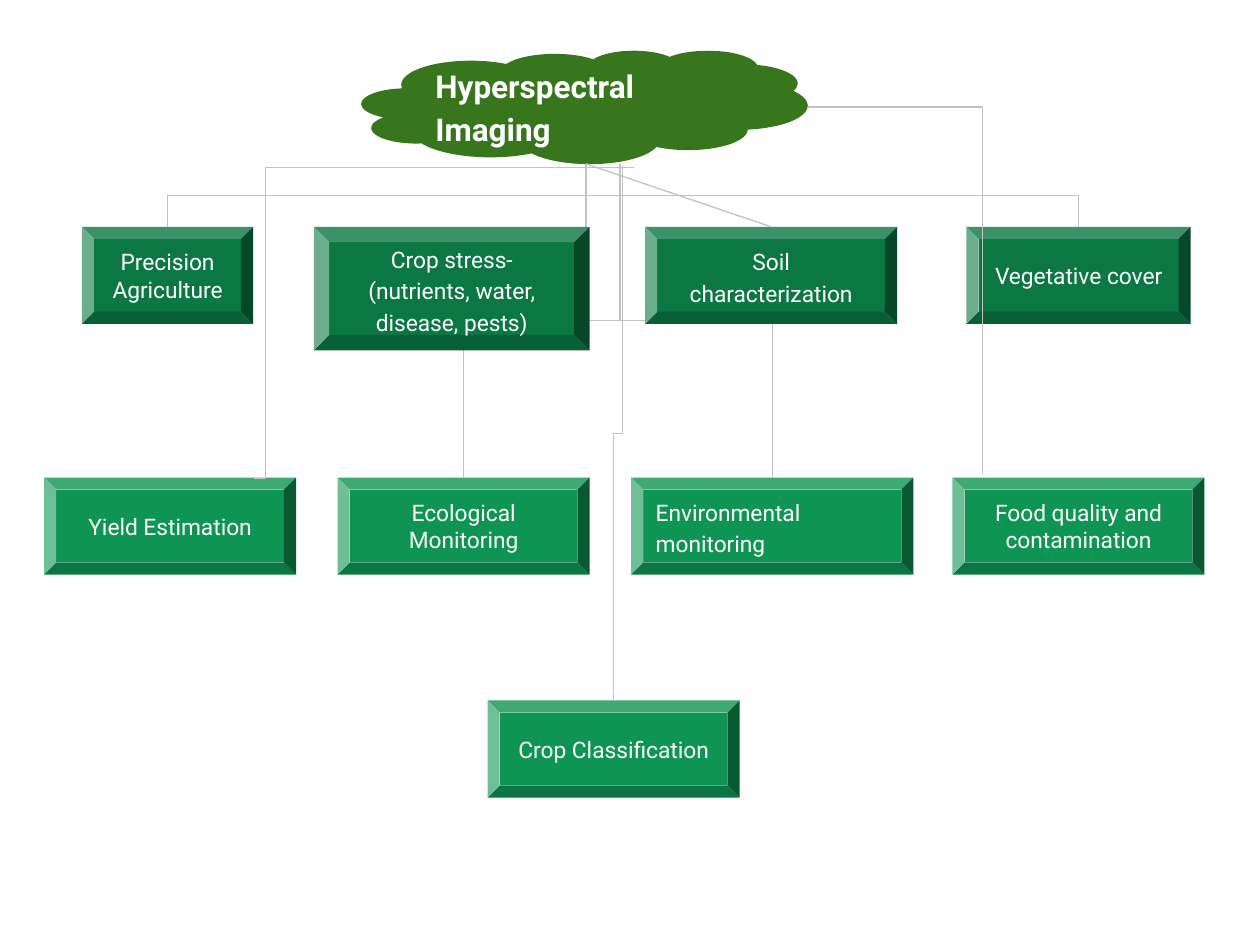
from dataclasses import dataclass

from lxml import etree
from pptx import Presentation
from pptx.dml.color import RGBColor
from pptx.enum.shapes import MSO_CONNECTOR as Connector, MSO_SHAPE as Shape
from pptx.enum.text import MSO_ANCHOR as Anchor, PP_ALIGN as Align
from pptx.oxml.ns import qn
from pptx.util import Inches, Pt


@dataclass(frozen=True)
class Theme:
    font: str = "Roboto"
    text: str = "FFFFFF"
    hub: str = "38761D"
    upper: str = "0B7743"
    lower: str = "0E9453"
    line: str = "C2C2C2"
    hub_size: int = 18
    box_size: int = 13
    line_width: float = 0.75


THEME = Theme()
UPPER_TOP, LOWER_TOP, BOTTOM_TOP = 1.8, 3.79, 5.56
BOX_WIDTH, BOX_HEIGHT = 2, 0.77
HUB_BOX = (2.87, 0.4, 3.54, 0.9)
HUB_CENTER, HUB_BOTTOM = 4.65, 1.3


def write_text(shape, text, size, bold=False, align=Align.CENTER, spacing=None):
    frame = shape.text_frame
    frame.word_wrap = True
    frame.vertical_anchor = Anchor.MIDDLE
    frame.margin_left = frame.margin_right = Inches(0.1)
    frame.margin_top = frame.margin_bottom = Inches(0.1)
    paragraph = frame.paragraphs[0]
    paragraph.alignment = align
    paragraph.line_spacing = spacing
    run = paragraph.add_run()
    run.text = text
    run.font.name = THEME.font
    run.font.size = Pt(size)
    run.font.bold = bold
    run.font.color.rgb = RGBColor.from_string(THEME.text)


def add_node(slide, kind, box, fill, text, size, **text_format):
    shape = slide.shapes.add_shape(kind, *map(Inches, box))
    shape.shadow.inherit = False
    shape.fill.solid()
    shape.fill.fore_color.rgb = RGBColor.from_string(fill)
    shape.line.fill.background()
    write_text(shape, text, size, **text_format)
    return shape


def add_topic(slide, text, left, top, width=BOX_WIDTH, height=BOX_HEIGHT, **text_format):
    fill = THEME.upper if top == UPPER_TOP else THEME.lower
    box = (left, top, width, height)
    shape = add_node(slide, Shape.BEVEL, box, fill, text, THEME.box_size, **text_format)
    shape.adjustments[0] = 0.125


def add_link(slide, start, end, kind=Connector.ELBOW):
    link = slide.shapes.add_connector(kind, *map(Inches, (*start, *end)))
    link.line.color.rgb = RGBColor.from_string(THEME.line)
    link.line.width = Pt(THEME.line_width)
    etree.SubElement(link._element.spPr, qn("a:effectLst"))
    return link


def add_drop_link(slide, start, end):
    """Elbow that leaves downwards: a sideways elbow turned by a quarter."""
    (x1, y1), (x2, y2) = start, end
    center_x, center_y = (x1 + x2) / 2, (y1 + y2) / 2
    side = 1 if x2 > x1 else -1
    half_run, half_rise = side * (y2 - y1) / 2, abs(x2 - x1) / 2
    link = add_link(slide, (center_x + half_run, center_y - half_rise),
                    (center_x - half_run, center_y + half_rise))
    degrees = 270 if side > 0 else 90
    link._element.spPr.find(qn("a:xfrm")).set("rot", str(degrees * 60000))


def shape_elbow(link, preset, bend=None):
    geometry = link._element.spPr.find(qn("a:prstGeom"))
    geometry.set("prst", preset)
    if bend is not None:
        guides = geometry.find(qn("a:avLst"))
        etree.SubElement(guides, qn("a:gd"), name="adj1", fmla=f"val {round(bend * 100000)}")


def add_hub(slide, box):
    add_node(slide, Shape.CLOUD, box, THEME.hub, "Hyperspectral Imaging", THEME.hub_size,
             bold=True, align=Align.JUSTIFY, spacing=1.15)


def add_outer_topics(slide):
    add_topic(slide, "Precision Agriculture", 0.65, UPPER_TOP, 1.36)
    add_topic(slide, "Vegetative cover", 7.67, UPPER_TOP, 1.78)
    add_topic(slide, "Yield Estimation", 0.35, LOWER_TOP)
    add_topic(slide, "Ecological Monitoring", 2.68, LOWER_TOP)
    add_topic(slide, "Environmental monitoring", 5.01, LOWER_TOP, 2.24,
              align=Align.JUSTIFY, spacing=1.15)
    add_topic(slide, "Food quality and contamination", 7.56, LOWER_TOP)
    add_topic(slide, "Crop Classification", 3.87, BOTTOM_TOP)


def add_back_links(slide):
    drops = [
        (HUB_CENTER, 8.56, UPPER_TOP),
        (HUB_CENTER, 1.33, UPPER_TOP),
        (HUB_CENTER, 6.13, LOWER_TOP),
        (4.92, 3.68, LOWER_TOP),
    ]
    for start_x, end_x, end_y in drops:
        add_drop_link(slide, (start_x, HUB_BOTTOM), (end_x, end_y))
    shape_elbow(add_link(slide, (6.41, 0.85), (7.8, 3.76)), "bentConnector2")


def add_inner_topics(slide):
    add_topic(slide, "Crop stress-(nutrients, water, disease, pests)", 2.49, UPPER_TOP,
              2.19, 0.98, spacing=1.15)
    add_topic(slide, "Soil characterization", 5.12, UPPER_TOP, spacing=1.15)


def add_front_links(slide):
    add_link(slide, (HUB_CENTER, HUB_BOTTOM), (6.12, UPPER_TOP), Connector.STRAIGHT)
    shape_elbow(add_link(slide, (5.03, 1.33), (2.02, 3.8)), "bentConnector3", 0.972)
    add_drop_link(slide, (4.94, 1.32), (4.87, BOTTOM_TOP))


def main():
    presentation = Presentation()
    presentation.slide_width, presentation.slide_height = Inches(10), Inches(7.5)
    slide = presentation.slides.add_slide(presentation.slide_layouts[6])
    add_hub(slide, HUB_BOX)
    # The inner topics cover the links that run behind them
    add_outer_topics(slide)
    add_back_links(slide)
    add_inner_topics(slide)
    add_front_links(slide)
    presentation.save("out.pptx")


main()
